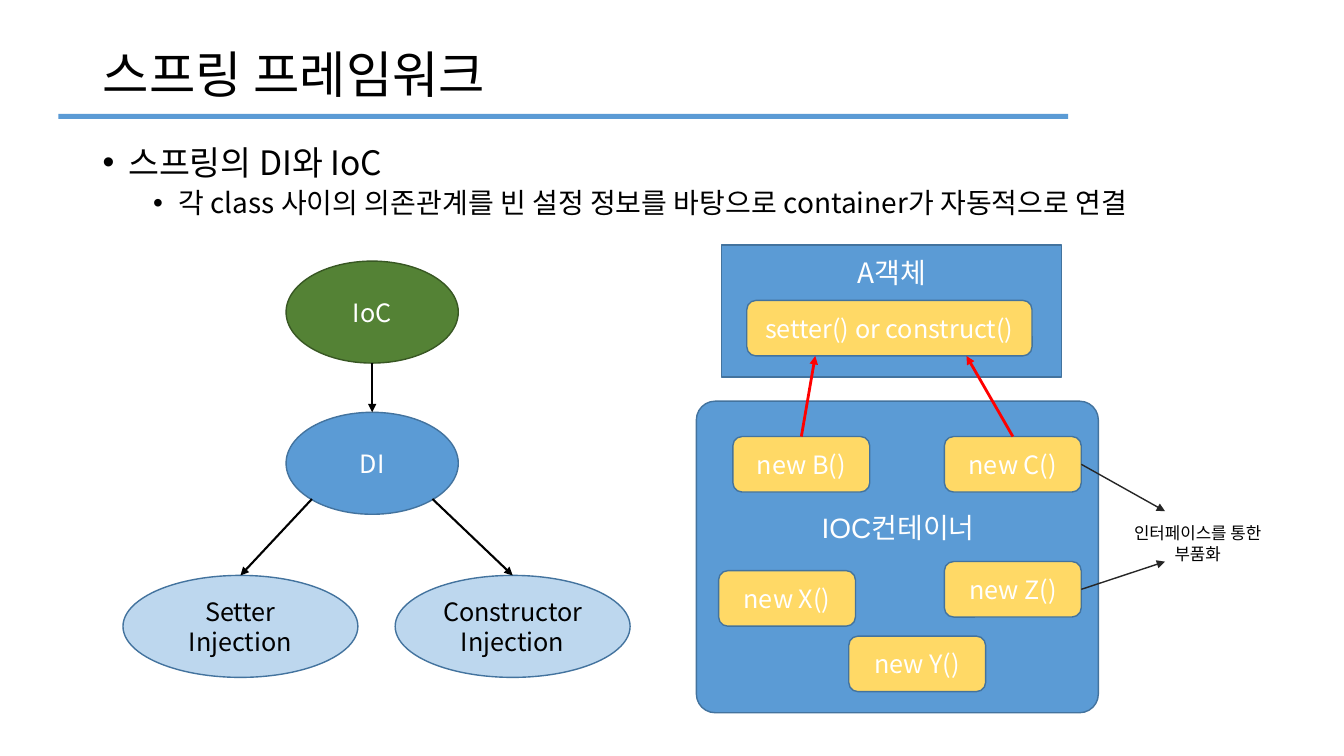
"""Build a slide on DI and IoC in the Spring framework."""
from lxml import etree
from pptx import Presentation
from pptx.dml.color import RGBColor
from pptx.enum import shapes, text
from pptx.oxml import ns
from pptx.util import Cm, Pt

KOREAN, LATIN = "Noto Sans CJK KR", "Arial"
WHITE, BLACK = "FFFFFF", "000000"
BLUE, NAVY, PALE, GREEN, YELLOW, RED = "5B9BD5", "43739E", "BDD7EE", "548235", "FFD966", "FF0000"
OVAL = shapes.MSO_SHAPE.OVAL
ROUND = shapes.MSO_SHAPE.ROUNDED_RECTANGLE
RECT = shapes.MSO_SHAPE.RECTANGLE

TITLE = "스프링 프레임워크"
BULLETS = [
    ("스프링의 DI와 IoC", 24, 10, 0.64),
    ("각 class 사이의 의존관계를 빈 설정 정보를 바탕으로 container가 자동적으로 연결", 20, 5, 1.91),
]
OVAL_H, CHIP_W, CHIP_H = 2.57, 3.45, 1.4
PARTS = {
    "ioc": ("IoC", OVAL, (7.21, 6.58, 4.34, OVAL_H), GREEN, "385723", WHITE, 18),
    "di": ("DI", OVAL, (7.21, 10.39, 4.34, OVAL_H), BLUE, NAVY, WHITE, 18),
    "setter": ("Setter Injection", OVAL, (3.1, 14.5, 5.92, OVAL_H), PALE, NAVY, BLACK, 18),
    "constructor": ("Constructor Injection", OVAL, (9.96, 14.5, 5.92, OVAL_H), PALE, NAVY, BLACK, 18),
    "container": ("", ROUND, (17.55, 10.11, 10.13, 7.85), BLUE, NAVY, WHITE, 18),
    "object": ("A객체", RECT, (18.19, 6.17, 8.56, 3.33), BLUE, NAVY, WHITE, 20),
    "method": ("setter() or construct()", ROUND, (18.82, 7.57, 7.19, CHIP_H), YELLOW, NAVY, WHITE, 18),
}
CHIPS = {"B": (18.47, 11), "C": (23.8, 11), "X": (18.11, 14.38), "Y": (21.39, 16.03), "Z": (23.8, 14.15)}
LABELS = {
    "caption": ("IOC컨테이너", (18.57, 12.75, 8.13, 1.12), WHITE, 20),
    "note": ("인터페이스를 통한 부품화", (27.76, 13.06, 4.85, 1.27), BLACK, 12),
}
TOP, BOTTOM, RIGHT = (0.5, 0), (0.5, 1), (1, 0.5)
ARROWS = [
    ("ioc", BOTTOM, "di", TOP, BLACK, 1.5),
    ("di", (0.15, 0.85), "setter", TOP, BLACK, 1.5),
    ("di", (0.85, 0.85), "constructor", TOP, BLACK, 1.5),
    ("B", TOP, "method", (0.24, 1), RED, 2),
    ("C", TOP, "method", (0.77, 1), RED, 2),
    ("C", RIGHT, "note", (0.33, -0.14), "262626", 1),
    ("Z", RIGHT, "note", (0.33, 0.86), "262626", 1),
]


def color(value):
    return RGBColor.from_string(value)


def lengths(values):
    return [Cm(value) for value in values]


def write(para, words, size, ink, face=KOREAN, align=text.PP_ALIGN.CENTER):
    para.text = words
    para.alignment = align
    para.font.size = Pt(size)
    para.font.name = face
    para.font.color.rgb = color(ink)
    for span in para.runs:
        props = span.font._element
        etree.SubElement(props, ns.qn("a:ea"), typeface=KOREAN)


def add_part(page, words, kind, place, fill, edge, ink, size):
    shape = page.shapes.add_shape(kind, *lengths(place))
    shape.shadow.inherit = False
    shape.fill.solid()
    shape.fill.fore_color.rgb = color(fill)
    shape.line.color.rgb = color(edge)
    shape.line.width = Pt(1)
    if words:
        shape.text_frame.vertical_anchor = text.MSO_ANCHOR.MIDDLE
        write(shape.text_frame.paragraphs[0], words, size, ink)
    return shape


def add_box(page, place):
    box = page.shapes.add_textbox(*lengths(place))
    box.text_frame.word_wrap = True
    return box


def spot(shape, share):
    return (shape.left + round(shape.width * share[0]),
            shape.top + round(shape.height * share[1]))


def add_arrow(page, start, end, ink, width):
    arrow = page.shapes.add_connector(shapes.MSO_CONNECTOR.STRAIGHT, *start, *end)
    arrow.line.color.rgb = color(ink)
    arrow.line.width = Pt(width)
    etree.SubElement(arrow.line._get_or_add_ln(), ns.qn("a:tailEnd"), type="triangle")
    etree.SubElement(arrow._element.spPr, ns.qn("a:effectLst"))


def add_heading(page):
    bar = add_part(page, "", RECT, (1.47, 2.87, 25.45, 0.13), BLUE, BLUE, WHITE, 18)
    bar.line.fill.background()
    title = page.shapes.title
    title.left, title.top, title.width, title.height = lengths((2.34, 1.02, 29.21, 1.85))
    title.text_frame.vertical_anchor = text.MSO_ANCHOR.MIDDLE
    para = title.text_frame.paragraphs[0]
    write(para, TITLE, 36, BLACK, align=text.PP_ALIGN.LEFT)
    para.line_spacing = 0.9


def add_bullets(page):
    frame = add_box(page, (2.34, 3.56, 29.21, 2.2)).text_frame
    for level, (words, size, before, indent) in enumerate(BULLETS):
        para = frame.add_paragraph() if level else frame.paragraphs[0]
        write(para, words, size, BLACK, align=text.PP_ALIGN.LEFT)
        para.level = level
        para.line_spacing = 0.9
        para.space_before = Pt(before)
        props = para._p.get_or_add_pPr()
        props.set("marL", str(Cm(indent)))
        props.set("indent", str(-Cm(0.64)))
        font = etree.Element(ns.qn("a:buFont"), typeface=LATIN)
        mark = etree.Element(ns.qn("a:buChar"), char="•")
        props.find(ns.qn("a:spcBef")).addnext(font)
        font.addnext(mark)


def main():
    deck = Presentation()
    deck.slide_width, deck.slide_height = lengths((33.87, 19.05))
    page = deck.slides.add_slide(deck.slide_layouts[5])
    add_heading(page)
    add_bullets(page)

    drawn = {name: add_part(page, *part) for name, part in PARTS.items()}
    drawn["container"].adjustments[0] = 0.06
    frame = drawn["object"].text_frame
    frame.vertical_anchor = text.MSO_ANCHOR.TOP
    frame.margin_top = Cm(0.28)
    for name, corner in CHIPS.items():
        drawn[name] = add_part(page, f"new {name}()", ROUND, (*corner, CHIP_W, CHIP_H),
                               YELLOW, NAVY, WHITE, 18)
    for name, (words, place, ink, size) in LABELS.items():
        drawn[name] = add_box(page, place)
        write(drawn[name].text_frame.paragraphs[0], words, size, ink, LATIN)
    for source, leave, target, enter, ink, width in ARROWS:
        add_arrow(page, spot(drawn[source], leave), spot(drawn[target], enter), ink, width)
    deck.save("out.pptx")


if __name__ == "__main__":
    main()
